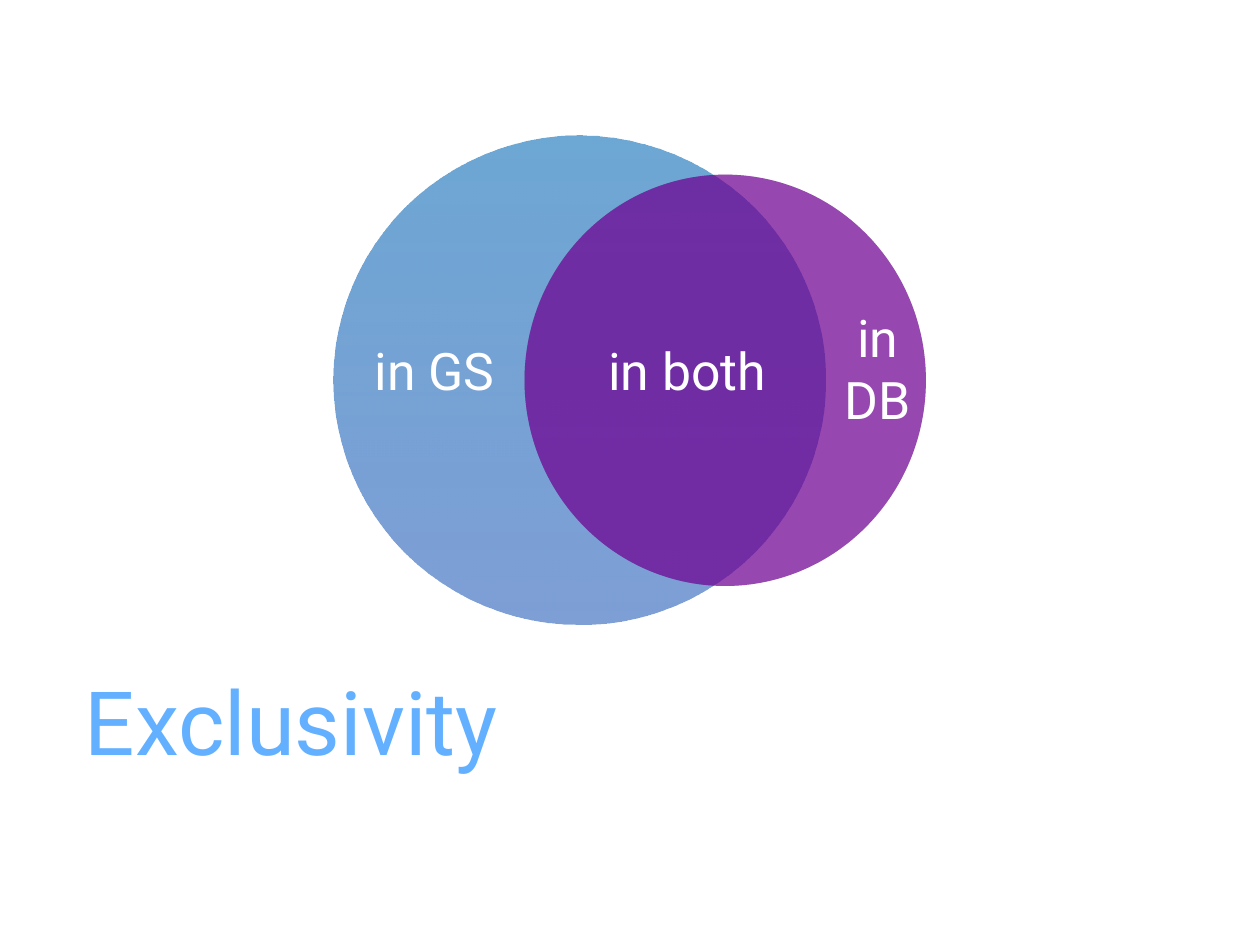
from dataclasses import dataclass

from lxml import etree
from pptx import Presentation
from pptx.dml.color import RGBColor
from pptx.enum import shapes, text
from pptx.oxml import ns
from pptx.util import Inches, Pt


@dataclass(frozen=True)
class Theme:
    font: str = "Roboto"
    title_size: int = 72
    label_size: int = 42
    title_color: str = "62B0FF"
    label_color: str = "FFFFFF"
    # (colour, opacity in percent); two entries make a top-down gradient
    gs_fill: tuple = (("0082E5", 45), ("0057E5", 39))
    db_fill: tuple = (("8500AF", 60),)
    shadow: tuple = ("000000", 50)


THEME = Theme()
SLIDE_SIZE = (14.22, 10.66)

# (left, top, width, height), fill
CIRCLES = [
    ((3.76, 1.53, 5.56, 5.51), THEME.gs_fill),
    ((5.92, 1.97, 4.53, 4.64), THEME.db_fill),
]
LABELS = [
    ("in GS", (4.2, 3.82, 1.41, 0.7)),
    ("in\nDB", (9.5, 3.45, 0.81, 1.4)),
    ("in both", (6.78, 3.82, 1.95, 0.7)),
]
TITLE = ("Exclusivity", (0.86, 7.47, 12.5, 2.46))


def set_opacity(color_element, percent):
    alpha = etree.SubElement(color_element, ns.qn("a:alpha"))
    alpha.set("val", str(percent * 1000))


def add_shadow(shape):
    """Add a shadow directly behind the shape, which deepens its colour."""
    shape.shadow.inherit = False
    effects = shape._element.spPr.find(ns.qn("a:effectLst"))
    shadow = etree.SubElement(effects, ns.qn("a:outerShdw"),
                              blurRad="0", dist="0", dir="0", rotWithShape="0")
    color, opacity = THEME.shadow
    color_element = etree.SubElement(shadow, ns.qn("a:srgbClr"), val=color)
    set_opacity(color_element, opacity)


def add_circle(slide, box, colors):
    circle = slide.shapes.add_shape(shapes.MSO_SHAPE.OVAL, *map(Inches, box))
    circle.line.fill.background()
    fill = circle.fill
    if len(colors) == 1:
        fill.solid()
        fill.fore_color.rgb = RGBColor.from_string(colors[0][0])
    else:
        fill.gradient()
        fill.gradient_angle = 270
        for stop, (color, _) in zip(fill.gradient_stops, colors):
            stop.color.rgb = RGBColor.from_string(color)
    color_elements = list(circle._element.spPr.iter(ns.qn("a:srgbClr")))
    for color_element, (_, opacity) in zip(color_elements, colors):
        set_opacity(color_element, opacity)
    add_shadow(circle)


def add_text(slide, words, box, size, color):
    frame = slide.shapes.add_textbox(*map(Inches, box)).text_frame
    frame.text = words
    for paragraph in frame.paragraphs:
        for run in paragraph.runs:
            run.font.name = THEME.font
            run.font.size = Pt(size)
            run.font.color.rgb = RGBColor.from_string(color)
    return frame


def add_label(slide, words, box):
    frame = add_text(slide, words, box, THEME.label_size, THEME.label_color)
    frame.margin_left = frame.margin_right = 0
    frame.margin_top = frame.margin_bottom = 0
    frame.word_wrap = False
    frame.auto_size = text.MSO_AUTO_SIZE.SHAPE_TO_FIT_TEXT
    frame.vertical_anchor = text.MSO_ANCHOR.MIDDLE
    for paragraph in frame.paragraphs:
        paragraph.alignment = text.PP_ALIGN.CENTER


def main():
    presentation = Presentation()
    presentation.slide_width, presentation.slide_height = map(Inches, SLIDE_SIZE)
    slide = presentation.slides.add_slide(presentation.slide_layouts[6])

    for box, colors in CIRCLES:
        add_circle(slide, box, colors)
    for words, box in LABELS:
        add_label(slide, words, box)

    title = add_text(slide, *TITLE, THEME.title_size, THEME.title_color)
    title.word_wrap = True
    title.margin_right = 0

    presentation.save("out.pptx")


if __name__ == "__main__":
    main()
